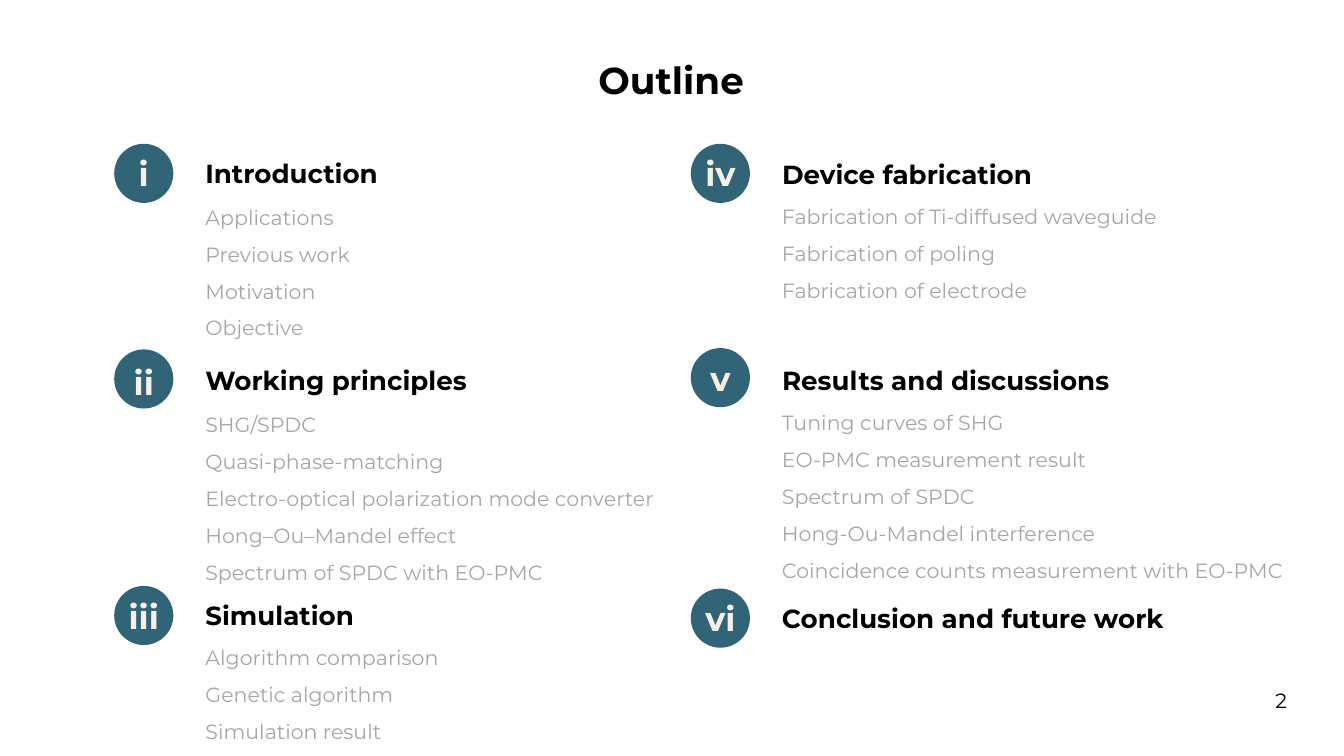
import pptx
import pptx.util
import pptx.dml.color
import pptx.enum.shapes
import pptx.enum.text

Inches = pptx.util.Inches
Pt = pptx.util.Pt
RGBColor = pptx.dml.color.RGBColor
PP_ALIGN = pptx.enum.text.PP_ALIGN
MSO_ANCHOR = pptx.enum.text.MSO_ANCHOR

BLACK = RGBColor(0x00, 0x00, 0x00)
GREY = RGBColor(0xA6, 0xA6, 0xA6)
TEAL = RGBColor(0x32, 0x64, 0x77)
CREAM = RGBColor(0xF5, 0xF0, 0xE3)
FONT = "Montserrat"

LEFT, RIGHT = 0.85, 5.14
BADGE_SIZE = 0.44
TEXT_OFFSET = 0.58
HEADING_HEIGHT = 0.34

SECTIONS = [
    (LEFT, 1.07, 1.10, "i", 1.12, 1.50, "Introduction"),
    (LEFT, 2.60, 2.65, "ii", 2.66, 2.17, "Working principles"),
    (LEFT, 4.36, 4.39, "iii", 4.41, 1.32, "Simulation"),
    (RIGHT, 1.07, 1.10, "iv", 1.13, 2.08, "Device fabrication"),
    (RIGHT, 2.59, 2.62, "v", 2.66, 2.65, "Results and discussions"),
    (RIGHT, 4.38, 4.41, "vi", 4.43, 3.07, "Conclusion and future work"),
]

TOPICS = [
    (LEFT, 1.39, 1.29, 1.18,
     ["Applications", "Previous work", "Motivation", "Objective"]),
    (LEFT, 2.93, 3.57, 1.46,
     ["SHG/SPDC", "Quasi-phase-matching",
      "Electro-optical polarization mode converter",
      "Hong–Ou–Mandel effect", "Spectrum of SPDC with EO-PMC"]),
    (LEFT, 4.67, 1.95, 0.9,
     ["Algorithm comparison", "Genetic algorithm", "Simulation result"]),
    (RIGHT, 1.39, 3.03, 0.9,
     ["Fabrication of Ti-diffused waveguide", "Fabrication of poling",
      "Fabrication of electrode"]),
    (RIGHT, 2.92, 3.96, 1.46,
     ["Tuning curves of SHG", "EO-PMC measurement result",
      "Spectrum of SPDC", "Hong-Ou-Mandel interference",
      "Coincidence counts measurement with EO-PMC"]),
]


def write_lines(frame, lines, size, color, bold=False,
                align=PP_ALIGN.LEFT, spacing=None):
    frame.text = "\n".join(lines)
    for paragraph in frame.paragraphs:
        paragraph.alignment = align
        paragraph.line_spacing = spacing
        for run in paragraph.runs:
            run.font.name = FONT
            run.font.size = Pt(size)
            run.font.bold = bold
            run.font.color.rgb = color


def add_title(slide, text):
    title = slide.shapes.title
    title.left, title.top = Inches(2.06), Inches(0.33)
    title.width, title.height = Inches(5.87), Inches(0.52)
    frame = title.text_frame
    frame.vertical_anchor = MSO_ANCHOR.MIDDLE
    frame.auto_size = pptx.enum.text.MSO_AUTO_SIZE.NONE
    write_lines(frame, [text], 20, BLACK, True, PP_ALIGN.CENTER)


def add_label(slide, left, top, width, height, lines, size, color,
              anchor=MSO_ANCHOR.TOP, **style):
    label = slide.shapes.add_textbox(
        Inches(left), Inches(top), Inches(width), Inches(height))
    frame = label.text_frame
    frame.word_wrap = False
    frame.vertical_anchor = anchor
    write_lines(frame, lines, size, color, **style)


def add_badge(slide, left, top, numeral_top, numeral):
    badge = slide.shapes.add_shape(
        pptx.enum.shapes.MSO_SHAPE.OVAL, Inches(left), Inches(top),
        Inches(BADGE_SIZE), Inches(BADGE_SIZE))
    badge.shadow.inherit = False
    badge.fill.solid()
    badge.fill.fore_color.rgb = TEAL
    badge.line.fill.background()
    add_label(slide, left, numeral_top, BADGE_SIZE, 0.38, [numeral], 18, CREAM,
              MSO_ANCHOR.MIDDLE, bold=True, align=PP_ALIGN.CENTER)


def add_section(slide, column, badge_top, numeral_top, numeral,
                heading_top, heading_width, heading):
    add_badge(slide, column, badge_top, numeral_top, numeral)
    add_label(slide, column + TEXT_OFFSET, heading_top, heading_width,
              HEADING_HEIGHT, [heading], 14, BLACK, bold=True)


def add_topics(slide, column, top, width, height, topics):
    add_label(slide, column + TEXT_OFFSET, top, width, height, topics, 11, GREY,
              MSO_ANCHOR.MIDDLE, spacing=1.5)


def main():
    deck = pptx.Presentation()
    deck.slide_width = Inches(10)
    deck.slide_height = deck.slide_width * 9 // 16
    slide = deck.slides.add_slide(deck.slide_layouts.get_by_name("Title Only"))
    add_title(slide, "Outline")
    for section in SECTIONS:
        add_section(slide, *section)
    for topic_list in TOPICS:
        add_topics(slide, *topic_list)
    add_label(slide, 9.39, 5.07, 0.29, 0.29, ["2"], 11, BLACK)
    deck.save("out.pptx")


if __name__ == "__main__":
    main()
